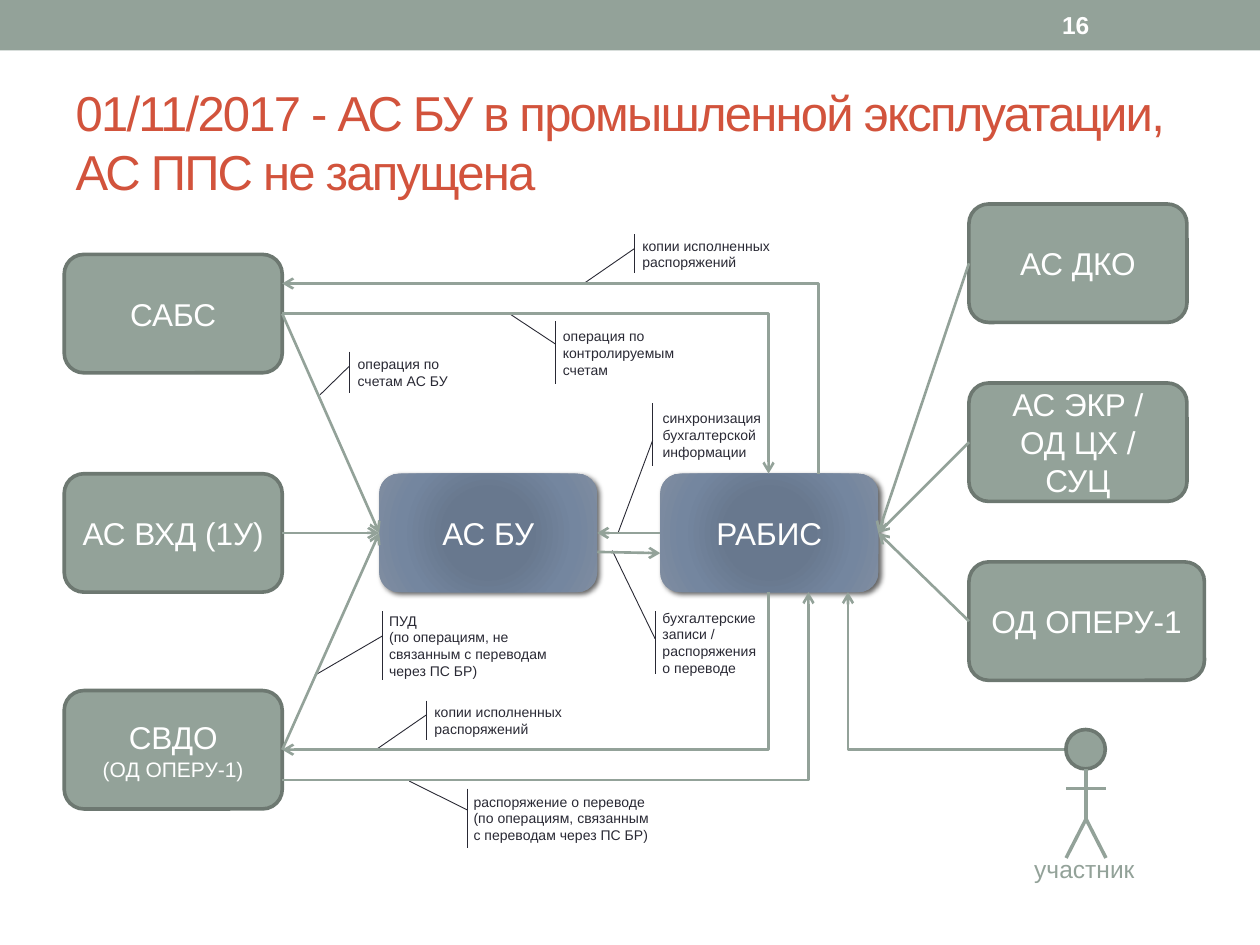
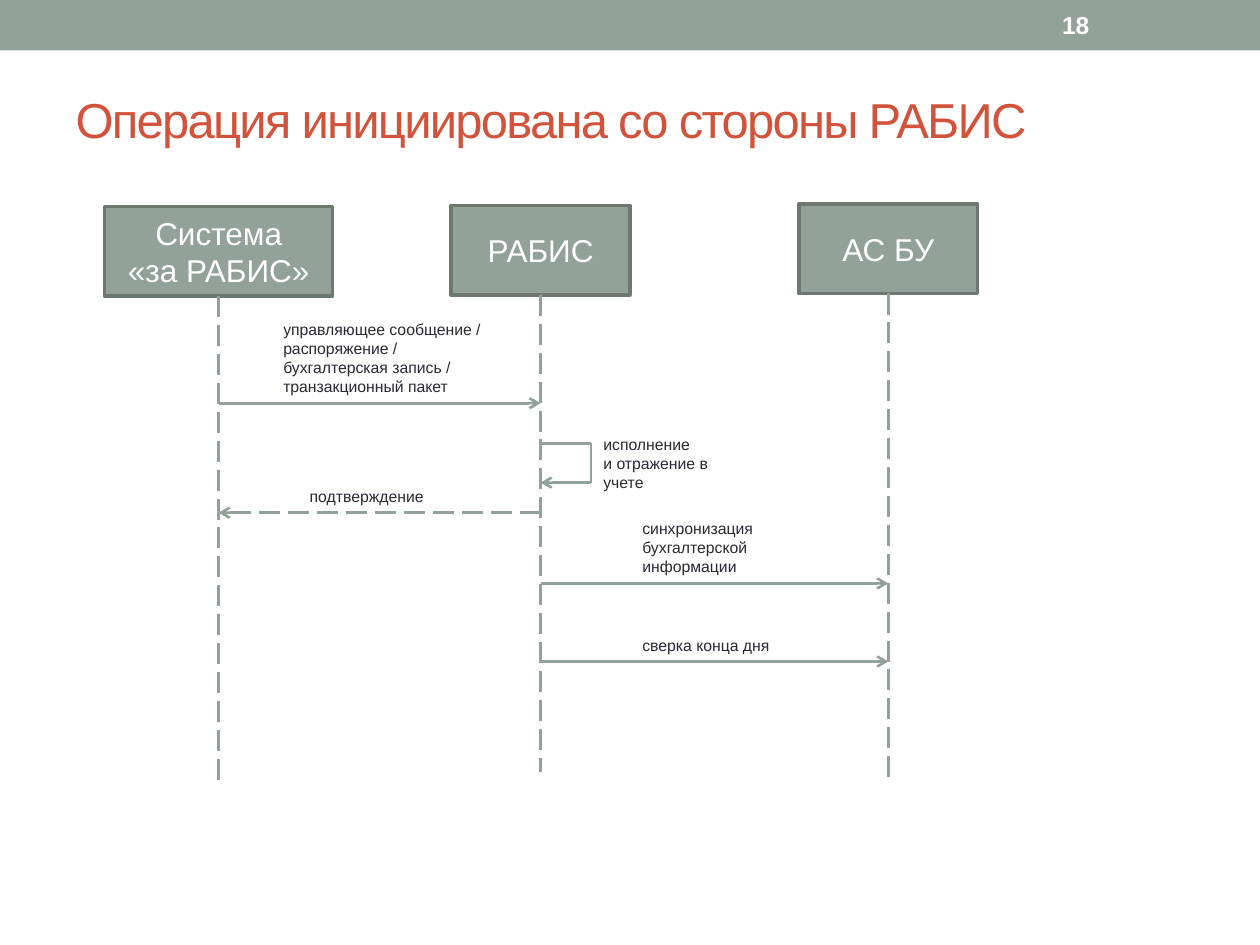
from lxml import etree
from pptx import Presentation
from pptx.dml.color import RGBColor
from pptx.enum.dml import MSO_LINE
from pptx.enum.shapes import MSO_CONNECTOR, MSO_SHAPE
from pptx.enum.text import MSO_ANCHOR, MSO_AUTO_SIZE, PP_ALIGN
from pptx.oxml import parse_xml
from pptx.oxml.ns import nsdecls, qn
from pptx.util import Pt

RECT, ROUNDED, OVAL = MSO_SHAPE.RECTANGLE, MSO_SHAPE.ROUNDED_RECTANGLE, MSO_SHAPE.OVAL
CALLOUT = MSO_SHAPE.LINE_CALLOUT_1_ACCENT_BAR
STRAIGHT, ELBOW = MSO_CONNECTOR.STRAIGHT, MSO_CONNECTOR.ELBOW
LONG_DASH = MSO_LINE.LONG_DASH
LEFT, CENTER = PP_ALIGN.LEFT, PP_ALIGN.CENTER
TOP, MIDDLE = MSO_ANCHOR.TOP, MSO_ANCHOR.MIDDLE
NO_AUTOFIT = MSO_AUTO_SIZE.NONE
LEFT_SITE, BOTTOM_SITE, RIGHT_SITE = 1, 2, 3

FONT = "Arial"
SAGE, SAGE_DARK = "93A299", "6D7871"
RED, INK, WHITE = "D2533C", "292934", "FFFFFF"
CORE_STOPS = [(0, "677790"), (34, "68788E"), (70, "74869F"), (100, "808DA0")]
PAGE_WIDTH, PAGE_HEIGHT = 720, 540
BOX_WIDTH, BOX_HEIGHT = 124.6, 67.7


def color(hex_value):
    return RGBColor.from_string(hex_value)


def points(*values):
    return [Pt(value) for value in values]


def write(shape, lines, size, hex_value, align=LEFT, anchor=MIDDLE, bold=False):
    """Fill a shape with one paragraph per line; a line may be (text, size)."""
    frame = shape.text_frame
    frame.word_wrap = True
    frame.auto_size = NO_AUTOFIT
    frame.vertical_anchor = anchor
    for index, line in enumerate(lines):
        text, line_size = line if isinstance(line, tuple) else (line, size)
        para = frame.add_paragraph() if index else frame.paragraphs[0]
        para.text = text
        para.alignment = align
        para.font.name = FONT
        para.font.size = Pt(line_size)
        para.font.bold = bold
        para.font.color.rgb = color(hex_value)


def add_label(shapes, left, top, width, height, lines, size=9, hex_value=INK,
              anchor=TOP, bold=False):
    box = shapes.add_textbox(*points(left, top, width, height))
    write(box, lines, size, hex_value, anchor=anchor, bold=bold)


def add_solid(shapes, kind, left, top, width, height, fill, line=None, line_width=2.08):
    shape = shapes.add_shape(kind, *points(left, top, width, height))
    shape.shadow.inherit = False
    shape.fill.solid()
    shape.fill.fore_color.rgb = color(fill)
    if line:
        shape.line.color.rgb = color(line)
        shape.line.width = Pt(line_width)
    else:
        shape.line.fill.background()
    return shape


def add_system(page, lines, left, top, width=BOX_WIDTH, height=BOX_HEIGHT, kind=ROUNDED):
    box = add_solid(page.shapes, kind, left, top, width, height, SAGE, SAGE_DARK)
    write(box, lines, 18, WHITE, CENTER)
    return box


def add_core_system(page, name, left, top):
    """Central system: radial gradient, no outline, soft shadow."""
    box = page.shapes.add_shape(ROUNDED, *points(left, top, BOX_WIDTH, BOX_HEIGHT))
    box.line.fill.background()
    box.shadow.inherit = False
    stops = "".join(f'<a:gs pos="{pos * 1000}"><a:srgbClr val="{stop}"/></a:gs>'
                    for pos, stop in CORE_STOPS)
    gradient = parse_xml(
        f'<a:gradFill {nsdecls("a")} rotWithShape="1"><a:gsLst>{stops}</a:gsLst>'
        '<a:path path="circle"><a:fillToRect l="50000" t="50000" r="50000" b="50000"/>'
        '</a:path></a:gradFill>')
    shadow = parse_xml(
        f'<a:outerShdw {nsdecls("a")} blurRad="{Pt(3)}" dist="{Pt(2)}" dir="2700000">'
        '<a:srgbClr val="000000"><a:alpha val="60000"/></a:srgbClr></a:outerShdw>')
    properties = box._element.spPr
    properties.find(qn("a:prstGeom")).addnext(gradient)
    properties.find(qn("a:effectLst")).append(shadow)
    write(box, [name], 18, WHITE, CENTER)
    return box


def add_callout(page, left, top, width, height, adjustments, lines):
    box = add_solid(page.shapes, CALLOUT, left, top, width, height, WHITE, INK, 0.5)
    for index, value in enumerate(adjustments):
        box.adjustments[index] = value
    write(box, lines, 8, INK)


def add_line(shapes, start, end, arrow=None, width=1.5, dash=None, kind=STRAIGHT):
    """Line between two points; arrow is None, 'headEnd' or 'tailEnd'."""
    line = shapes.add_connector(kind, *points(*start, *end))
    line.line.color.rgb = color(SAGE)
    line.line.width = Pt(width)
    if dash:
        line.line.dash_style = dash
    properties = line._element.spPr
    if arrow:
        etree.SubElement(properties.find(qn("a:ln")), qn(f"a:{arrow}"), type="arrow")
    etree.SubElement(properties, qn("a:effectLst"))
    return line


def add_elbow(page, start, end, arrow="tailEnd"):
    """Horizontal first, then one turn to vertical."""
    line = add_line(page.shapes, start, end, arrow, kind=ELBOW)
    line._element.spPr.find(qn("a:prstGeom")).set("prst", "bentConnector2")


def link(page, source, source_site, target, target_site):
    line = add_line(page.shapes, (0, 0), (0, 0), "tailEnd")
    line.begin_connect(source, source_site)
    line.end_connect(target, target_site)


def add_page(deck, title, number, title_height):
    page = deck.slides.add_slide(deck.slide_layouts.get_by_name("Title Only"))
    # Top band with the page number
    add_solid(page.shapes, RECT, 0, 0, PAGE_WIDTH, 28.8, SAGE)
    add_label(page.shapes, 599.8, 1.4, 84.2, 25.9, [number], 14, WHITE, MIDDLE, True)
    # Title
    heading = page.shapes.title
    heading.left, heading.top, heading.width, heading.height = points(
        36, 41.8, 648, title_height)
    write(heading, [title], 28, RED)
    for span in heading.text_frame.paragraphs[0].runs:
        span._r.get_or_add_rPr().set("spc", "-100")
    return page


def add_participant(page):
    figure = page.shapes.add_group_shape().shapes
    axis, arms, hips, feet, reach = 620.6, 450.7, 468, 490.3, 11.4
    add_solid(figure, OVAL, 609.1, 416.9, 22.5, 22.5, SAGE, SAGE_DARK)
    for start, end in [((axis, 439.6), (axis, hips)),
                       ((axis - reach, arms), (axis + reach, arms)),
                       ((axis, hips), (axis - reach, feet)),
                       ((axis, hips), (axis + reach, feet))]:
        add_line(figure, start, end, width=2)
    add_label(figure, 583.9, 484.6, 73.4, 24.5, ["участник"], 14, SAGE)


def build_system_map(deck):
    page = add_page(deck, "01/11/2017 - АС БУ в промышленной эксплуатации, "
                    "АС ППС не запущена", "16", 77.8)

    # Notes on the flows, below the lines
    copies = ["копии исполненных распоряжений"]
    copies_shape = (0.36, 0.03, 1.23, -0.28)
    for note in [
        (371.5, 230.4, 73.4, 36, (0.59, 0.02, 2.06, -0.25),
         ["синхронизация бухгалтерской информации"]),
        (371.5, 349.2, 72, 36, (0.44, 0.04, -0.96, -0.3),
         ["бухгалтерские записи / распоряжения о переводе"]),
        (197.3, 200.9, 72, 23.8, (0.36, 0.03, 1.04, -0.2), ["операция по счетам АС БУ"]),
        (314.6, 183.6, 90.7, 36, (0.36, 0.03, -0.14, -0.27),
         ["операция по контролируемым счетам"]),
        (360, 133.9, 90.7, 22.3, copies_shape, copies),
        (241.2, 400.3, 90.7, 22.3, copies_shape, copies),
        (215.3, 349.2, 108, 39.6, (0.36, 0.03, 0.93, -0.33),
         ["ПУД", "(по операциям, не связанным с переводам через ПС БР)"]),
        (263.5, 450.7, 118.8, 33.8, (0.36, 0.03, -0.13, -0.25),
         ["распоряжение о переводе", "(по операциям, связанным с переводам через ПС БР)"]),
    ]:
        add_callout(page, *note)

    # Systems
    core_top = 270.7
    accounting = add_core_system(page, "АС БУ", 216.7, core_top)
    rabis = add_core_system(page, "РАБИС", 377.3, core_top)
    sources = [add_system(page, lines, 36.7, top) for lines, top in [
        (["САБС"], 145.4), (["АС ВХД (1У)"], core_top),
        (["СВДО", ("(ОД ОПЕРУ-1)", 12)], 394.6)]]
    clients = [add_system(page, [name], 553.7, 116.6 + row * 102.25, width)
               for row, (name, width) in enumerate([
                   ("АС ДКО", BOX_WIDTH), ("АС ЭКР / ОД ЦХ / СУЦ", BOX_WIDTH),
                   ("ОД ОПЕРУ-1", 134.6)])]

    # Straight flows
    for source in sources:
        link(page, source, RIGHT_SITE, accounting, LEFT_SITE)
    for client in clients:
        link(page, client, LEFT_SITE, rabis, RIGHT_SITE)
    link(page, rabis, LEFT_SITE, accounting, RIGHT_SITE)
    add_line(page.shapes, (341.3, 315.4), (377.3, 316.1), "tailEnd")

    # Flows with a turn
    source_edge, core_bottom = 161.3, core_top + BOX_HEIGHT
    add_elbow(page, (source_edge, 179.3), (439.2, core_top))
    add_elbow(page, (source_edge, 162), (467.6, core_top), "headEnd")
    add_elbow(page, (source_edge, 428.4), (439.2, core_bottom), "headEnd")
    add_elbow(page, (source_edge, 445.7), (462, core_bottom))
    add_elbow(page, (609.1, 428.4), (484.6, core_bottom))
    add_participant(page)


def build_sequence(deck):
    page = add_page(deck, "Операция инициирована со стороны РАБИС", "18", 52.6)

    # Actors and their lifelines
    axes = []
    for lines, left, top, width, end in [
            (["Система", "«за РАБИС»"], 59.8, 118.1, 130.3, 447.1),
            (["РАБИС"], 257.8, 117.4, 102.2, 441.4),
            (["АС БУ"], 456.5, 116.6, 102.2, 447.1)]:
        add_system(page, lines, left, top, width, 51.1, RECT)
        axis = left + width / 2
        add_line(page.shapes, (axis, top + 51.1), (axis, end), dash=LONG_DASH)
        axes.append(axis)
    outer, rabis, accounting = axes

    # Messages
    for start, end, y, dash in [(outer, rabis, 230.4, None),
                                (rabis, outer, 293, LONG_DASH),
                                (rabis, accounting, 333.4, None),
                                (rabis, accounting, 378, None)]:
        add_line(page.shapes, (start, y), (end, y), "tailEnd", dash=dash)

    # Call of РАБИС to itself
    loop = page.shapes.add_group_shape().shapes
    corner, loop_top, loop_bottom = 337.7, 253.4, 275.8
    add_line(loop, (rabis, loop_top), (corner, loop_top))
    add_line(loop, (corner, loop_top), (corner, loop_bottom))
    add_line(loop, (corner, loop_bottom), (rabis, loop_bottom), "tailEnd")

    # Message labels
    for label in [
        (154.8, 179.3, 141.8, 51.1, ["управляющее сообщение / распоряжение /",
                                     "бухгалтерская запись /", "транзакционный пакет"]),
        (337.7, 244.8, 85, 40.3, ["исполнение", "и отражение в", "учете"]),
        (360, 293, 108, 40.3, ["синхронизация бухгалтерской информации"]),
        (360, 360, 108, 18, ["сверка конца дня"]),
        (169.9, 274.3, 93.6, 18, ["подтверждение"]),
    ]:
        add_label(page.shapes, *label)


def main():
    deck = Presentation()
    deck.slide_width, deck.slide_height = points(PAGE_WIDTH, PAGE_HEIGHT)
    build_system_map(deck)
    build_sequence(deck)
    deck.save("out.pptx")


if __name__ == "__main__":
    main()
